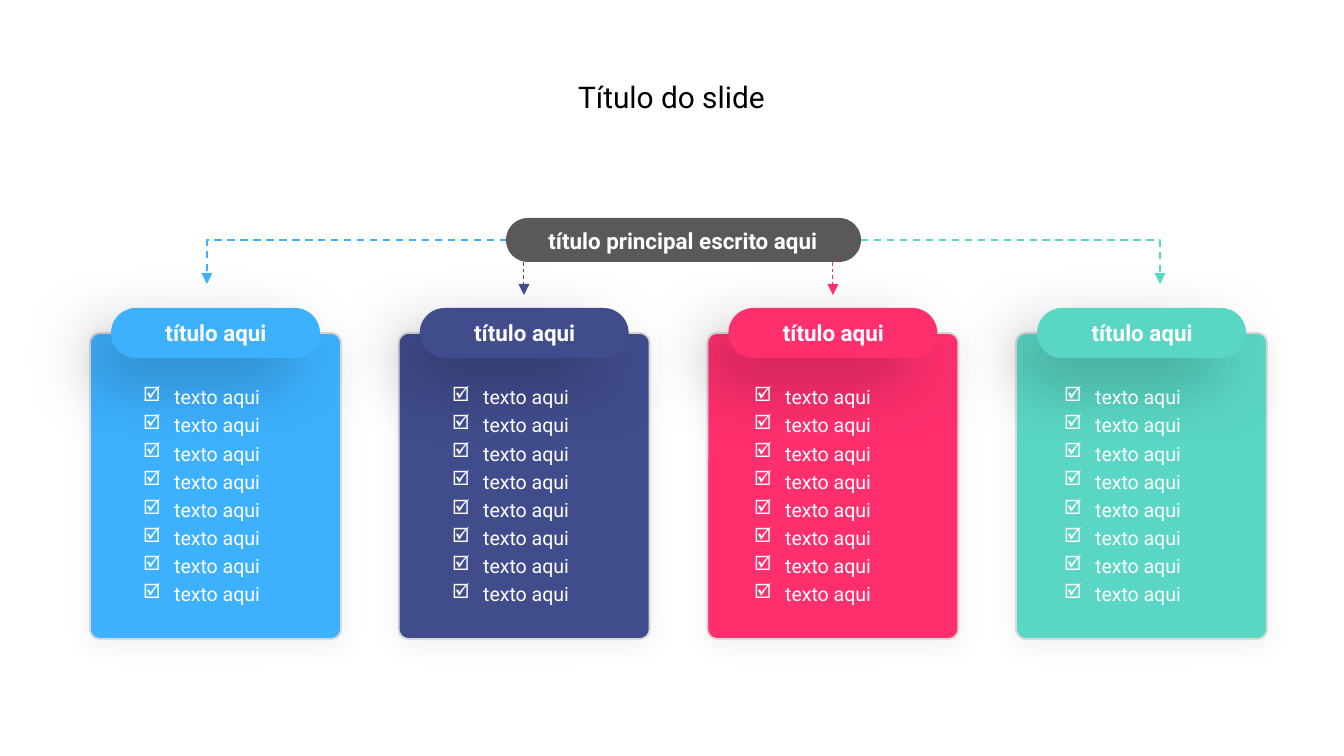
from lxml import etree
from pptx import Presentation
from pptx import util as u
from pptx.dml.color import RGBColor
from pptx.enum import dml, shapes, text
from pptx.oxml import parse_xml
from pptx.oxml.ns import qn

PX = 914400 / 134.4
FONT = "Roboto"
WHITE = "FFFFFF"
CARD_X, CARD_PITCH = 90, 308.7
COLOURS = ["3DB1FE", "414C8C", "FF2F6E", "5AD7C4"]
# Left, width and height of each checklist
LISTS = [(130, 155, 241), (439, 238, 241), (741, 208, 241), (1051, 242, 269)]
CARD_SHADOW = (6, 14, 3, 90)
PILL_SHADOW = (26, 37, 18, 135)


def px(n):
    return u.Emu(round(n * PX))


def rgb(colour):
    return RGBColor.from_string(colour)


def add_shadow(sp, alpha, blur, dist, angle):
    effects = sp._element.spPr.find(qn("a:effectLst"))
    effects.append(parse_xml(
        '<a:outerShdw xmlns:a="http://schemas.openxmlformats.org/drawingml/2006/main"'
        f' blurRad="{u.Pt(blur)}" dist="{u.Pt(dist)}" dir="{angle * 60000}"'
        ' algn="ctr" rotWithShape="0"><a:srgbClr val="000000">'
        f'<a:alpha val="{alpha * 1000}"/></a:srgbClr></a:outerShdw>'))


def add_round_rect(s, x, y, w, h, colour, adj=0.5, border=None, shadow=None):
    sp = s.shapes.add_shape(shapes.MSO_SHAPE.ROUNDED_RECTANGLE,
                            px(x), px(y), px(w), px(h))
    sp.adjustments[0] = adj
    sp.fill.solid()
    sp.fill.fore_color.rgb = rgb(colour)
    if border:
        sp.line.color.rgb = rgb(border)
        sp.line.width = u.Pt(1)
    else:
        sp.line.fill.background()
    sp.shadow.inherit = False
    if shadow:
        add_shadow(sp, *shadow)


def add_text(s, x, y, w, h, lines, size, colour=WHITE, bold=False,
             align=text.PP_ALIGN.CENTER, wrap=False):
    tf = s.shapes.add_textbox(px(x), px(y), px(w), px(h)).text_frame
    tf.text = "\n".join(lines)
    tf.word_wrap = wrap
    tf.auto_size = text.MSO_AUTO_SIZE.SHAPE_TO_FIT_TEXT
    for p in tf.paragraphs:
        p.alignment = align
        for r in p.runs:
            r.font.name, r.font.size, r.font.bold = FONT, u.Pt(size), bold
            r.font.color.rgb = rgb(colour)
    return tf


def add_checklist(s, x, y, w, h, lines):
    tf = add_text(s, x, y, w, h, lines, 10.5,
                  align=text.PP_ALIGN.LEFT, wrap=True)
    for p in tf.paragraphs:
        p.line_spacing = 1.2
        pPr = p._p.get_or_add_pPr()
        pPr.set("marL", str(px(31)))
        pPr.set("indent", str(-px(31)))
        bullet_colour = etree.SubElement(pPr, qn("a:buClr"))
        etree.SubElement(bullet_colour, qn("a:srgbClr"), val=WHITE)
        etree.SubElement(pPr, qn("a:buChar"), char="☑")


def style_arrow(sp, colour, width):
    sp.line.color.rgb = rgb(colour)
    sp.line.width = u.Pt(width)
    sp.line.dash_style = dml.MSO_LINE.DASH
    etree.SubElement(sp.line._get_or_add_ln(), qn("a:tailEnd"), type="triangle")


def add_elbow_arrow(s, x1, x2, y1, y2, colour):
    builder = s.shapes.build_freeform(x1, y1, scale=PX)
    builder.add_line_segments([(x2, y1), (x2, y2)], close=False)
    sp = builder.convert_to_shape()
    sp.fill.background()
    sp.shadow.inherit = False
    style_arrow(sp, colour, 1)


def add_down_arrow(s, x, y1, y2, colour):
    line = s.shapes.add_connector(shapes.MSO_CONNECTOR.STRAIGHT,
                                  px(x), px(y1), px(x), px(y2))
    style_arrow(line, colour, 0.5)
    etree.SubElement(line._element.spPr, qn("a:effectLst"))


def add_card(s, x, colour):
    add_round_rect(s, x, 333, 251, 306, colour, 0.04, "D9D9D9", CARD_SHADOW)
    add_round_rect(s, x + 21, 308, 209, 50, colour, shadow=PILL_SHADOW)
    add_text(s, x + 61, 313, 130, 40, ["título aqui"], 12, bold=True)


def main():
    prs = Presentation()
    prs.slide_width, prs.slide_height = px(1344), px(756)
    s = prs.slides.add_slide(prs.slide_layouts[6])

    # Cards with their headings, then the checklists
    for i, colour in enumerate(COLOURS):
        add_card(s, CARD_X + i * CARD_PITCH, colour)
    for x, w, h in LISTS:
        add_checklist(s, x, 374, w, h, ["texto aqui"] * 8)

    # Arrows from the main heading to the cards
    add_elbow_arrow(s, 507, 207, 240, 284, COLOURS[0])
    add_elbow_arrow(s, 861, 1160, 240, 284, COLOURS[3])
    add_down_arrow(s, 524, 262, 295, COLOURS[1])
    add_down_arrow(s, 833, 262, 295, COLOURS[2])

    # Main heading
    add_round_rect(s, 506, 218, 355, 44, "595959")
    add_text(s, 533, 221, 300, 40, ["título principal escrito aqui"], 12, bold=True)

    # Slide title
    tf = add_text(s, 499, 76, 345, 42, ["Título do slide"], 16, "000000", wrap=True)
    tf.margin_left = tf.margin_right = tf.margin_top = tf.margin_bottom = px(3)

    prs.save("out.pptx")


if __name__ == "__main__":
    main()
